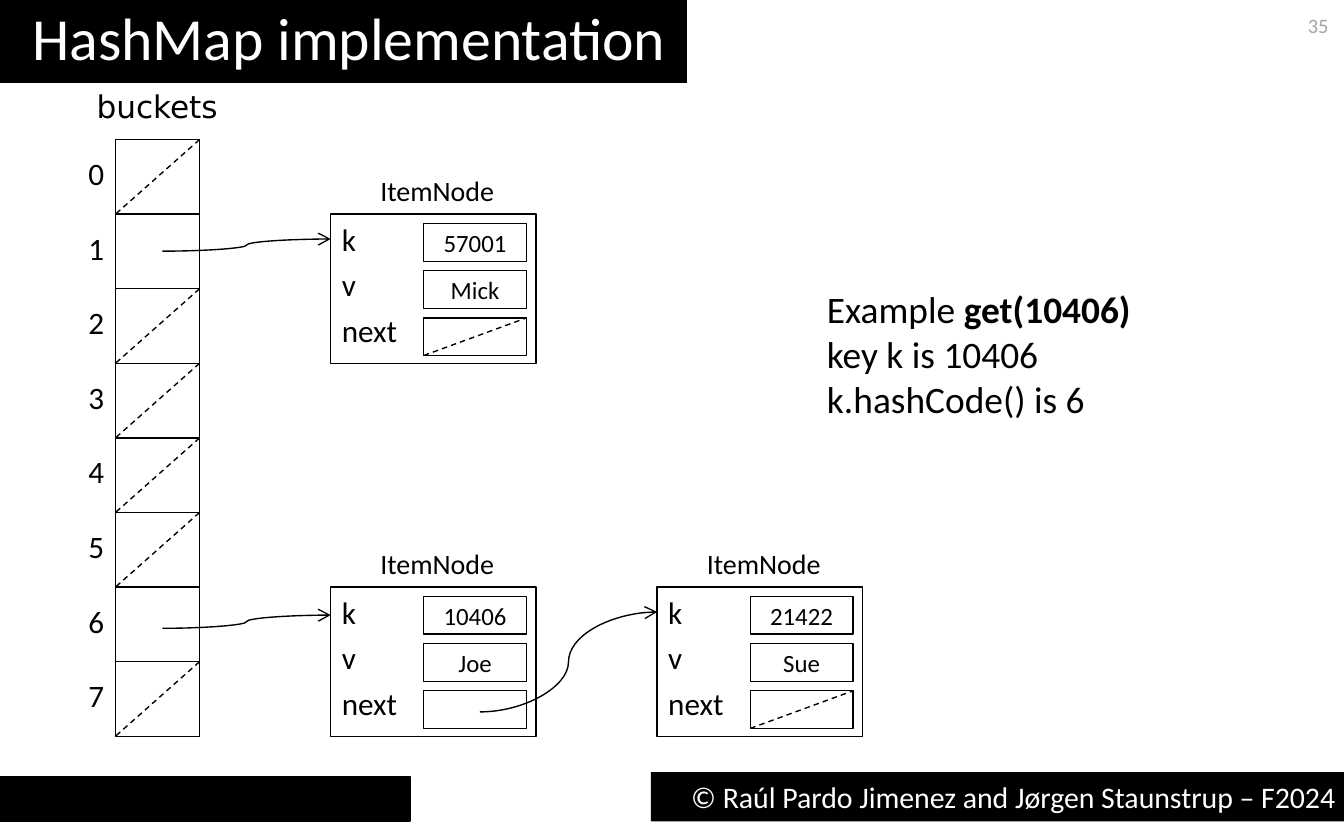
from lxml import etree
from pptx import Presentation
from pptx.dml.color import RGBColor
from pptx.enum.dml import MSO_LINE
from pptx.enum.shapes import MSO_CONNECTOR as CONN, MSO_SHAPE as SHAPE
from pptx.enum.text import MSO_ANCHOR as ANCHOR, PP_ALIGN as ALIGN
from pptx.oxml.ns import qn
from pptx.util import Cm, Pt

rgb = RGBColor.from_string
BLACK, WHITE, GREY = "000000", "FFFFFF", "A6A6A6"


def rect(x, y, w, h, fill=None):
    sp = shapes.add_shape(SHAPE.RECTANGLE, Cm(x), Cm(y), Cm(w), Cm(h))
    sp.shadow.inherit = False
    if fill:
        sp.fill.solid()
        sp.fill.fore_color.rgb = rgb(fill)
    else:
        sp.fill.background()
    sp.line.color.rgb = rgb(BLACK)
    sp.line.width = Pt(0.75)
    return sp


def write(sp, lines, size, align=ALIGN.LEFT, color=BLACK, font="Calibri", **frame):
    tf = sp.text_frame
    fmt = dict(word_wrap=True, vertical_anchor=ANCHOR.TOP, margin_left=Cm(0.21),
               margin_right=Cm(0.21), margin_top=Cm(0.11), margin_bottom=Cm(0.11))
    for name, value in {**fmt, **frame}.items():
        setattr(tf, name, value)
    for i, runs in enumerate(lines):
        p = tf.add_paragraph() if i else tf.paragraphs[0]
        p.alignment = align
        for text, bold in runs:
            r = p.add_run()
            r.text = text
            for name, value in dict(name=font, size=Pt(size), bold=bold).items():
                setattr(r.font, name, value)
            r.font.color.rgb = rgb(color)


prs = Presentation()
prs.slide_width, prs.slide_height = Cm(25.4), Cm(15.88)
s = prs.slides.add_slide(prs.slide_layouts[5])
shapes = s.shapes

title = shapes.title
for name, value in dict(left=0, top=0, width=Cm(12.98), height=Cm(1.57)).items():
    setattr(title, name, value)
title.fill.solid()
title.fill.fore_color.rgb = rgb(BLACK)
write(title, [[("HashMap implementation", False)]], 32, color=WHITE, word_wrap=False,
      vertical_anchor=ANCHOR.MIDDLE, margin_left=Cm(0.61), margin_right=Cm(0.25),
      margin_top=0, margin_bottom=Cm(0.2))

rect(0, 14.68, 7.75, 0.84, BLACK)
footer = rect(12.3, 14.6, 13.2, 0.93, BLACK)
footer.line.fill.background()
write(footer, [[("© Raúl Pardo Jimenez and Jørgen Staunstrup – F2024", False)]], 16,
      ALIGN.RIGHT, WHITE, margin_left=Cm(0.25), margin_right=Cm(0.25),
      margin_top=Cm(0.13), margin_bottom=Cm(0.13))

COL_X, COL_Y, COL_W, STEP = 2.18, 2.64, 1.59, 1.41
FIELD_X, FIELD_Y, FIELD_W, FIELD_H, FIELD_STEP = 1.76, 0.18, 1.94, 0.71, 0.89
NODE_W, NODE_H = 3.88, 2 * STEP
labels = [
    (23.9, 0.13, 1.42, 0.71, "35", 11, ALIGN.RIGHT, GREY, "Calibri"),
    (1.47, 1.55, 3, 0.94, "buckets", 16.7, ALIGN.CENTER, BLACK, "DejaVu Sans"),
]
nulls = []

for i in range(8):
    y = COL_Y + i * STEP
    rect(COL_X, y, COL_W, STEP)
    labels.append((1.3, y + 0.17, 0.88, 0.94, str(i), 16.7, ALIGN.RIGHT, BLACK, "Calibri"))
    if i not in (1, 6):
        nulls.append((COL_X + COL_W, y, COL_X, y + STEP))

nodes = [
    (6.25, 1, "57001", "Mick", True),
    (6.25, 6, "10406", "Joe", False),
    (12.42, 6, "21422", "Sue", True),
]
for x, bucket, key, value, last in nodes:
    y = COL_Y + bucket * STEP
    rect(x, y, NODE_W, NODE_H)
    labels.append((x + 0.34, y - 0.87, 3.35, 0.86, "ItemNode", 15, ALIGN.CENTER, BLACK, "Calibri"))
    for i, (name, content) in enumerate([("k", key), ("v", value), ("next", "")]):
        labels.append((x, y + i * 0.86, 1.76, 0.94, name, 16.7, ALIGN.LEFT, BLACK, "Calibri"))
        field = rect(x + FIELD_X, y + FIELD_Y + i * FIELD_STEP, FIELD_W, FIELD_H)
        if content:
            write(field, [[(content, False)]], 13.3, ALIGN.CENTER, vertical_anchor=ANCHOR.MIDDLE)
    if last:
        fx, fy = x + FIELD_X, y + FIELD_Y + 2 * FIELD_STEP
        nulls.append((fx, fy + FIELD_H, fx + FIELD_W, fy))

for x, y, w, h, text, size, align, color, font in labels:
    tb = shapes.add_textbox(Cm(x), Cm(y), Cm(w), Cm(h))
    write(tb, [[(text, False)]], size, align, color, font)

example = shapes.add_textbox(Cm(15.42), Cm(5.31), Cm(8.28), Cm(2.79))
write(example, [[("Example ", False), ("get(10406)", True)],
                [("key k is 10406", False)],
                [("k.hashCode() is 6", False)]], 20)

links = [
    (3.07, 4.75, 6.25, 4.52),
    (3.07, 11.88, 6.25, 11.63),
    (9.07, 13.46, 12.42, 11.57),
]
for kind, ends in [(CONN.STRAIGHT, e) for e in nulls] + [(CONN.CURVE, e) for e in links]:
    c = shapes.add_connector(kind, *map(Cm, ends))
    c.line.color.rgb = rgb(BLACK)
    c.line.width = Pt(0.75)
    if kind == CONN.STRAIGHT:
        c.line.dash_style = MSO_LINE.DASH
    else:
        etree.SubElement(c.line._get_or_add_ln(), qn("a:tailEnd"), type="arrow")
    etree.SubElement(c._element.spPr, qn("a:effectLst"))

prs.save("out.pptx")
